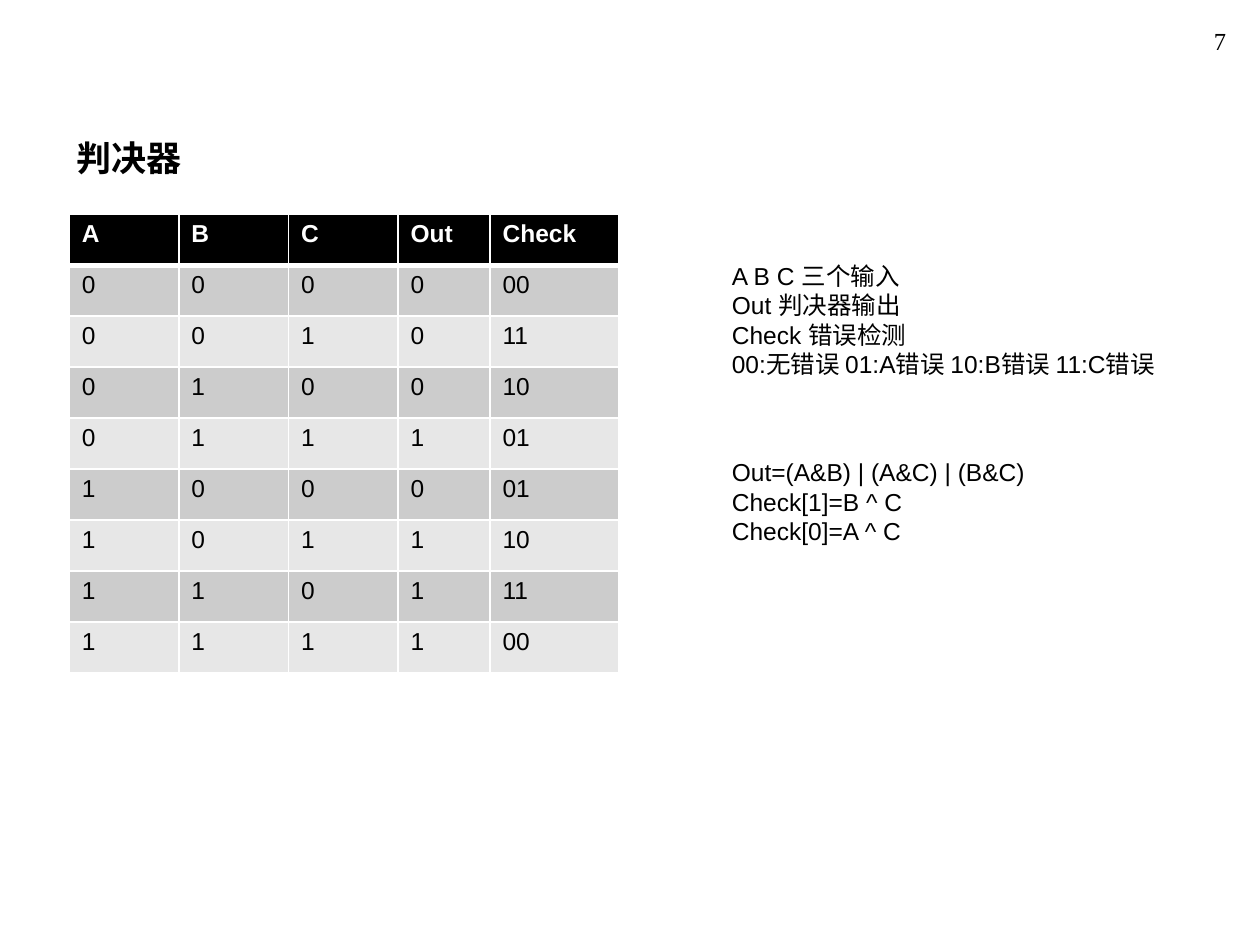
from dataclasses import dataclass
from itertools import product

from lxml import etree
from pptx import Presentation
from pptx.dml.color import RGBColor
from pptx.enum.text import MSO_ANCHOR, MSO_AUTO_SIZE, PP_ALIGN
from pptx.oxml.ns import qn
from pptx.util import Inches, Pt

BOTTOM, TOP = MSO_ANCHOR.BOTTOM, MSO_ANCHOR.TOP
LEFT, RIGHT = PP_ALIGN.LEFT, PP_ALIGN.RIGHT
NO_AUTOFIT = MSO_AUTO_SIZE.NONE
TITLE_ONLY = 5
BLACK, WHITE = "000000", "FFFFFF"
BAND_FILLS = ("CCCCCC", "E7E7E7")
HEADINGS = ("A", "B", "C", "Out", "Check")
COLUMN_WIDTHS = (0.87, 0.87, 0.87, 0.73, 1.02)
ROW_HEIGHT = 0.405


@dataclass(frozen=True)
class TextBlock:
    left: float
    top: float
    width: float
    height: float
    lines: tuple[str, ...]
    font: str = "Arial"
    size: int = 14
    bold: bool = False
    align: PP_ALIGN = LEFT
    anchor: MSO_ANCHOR = TOP


TITLE = TextBlock(0.51, 0.84, 8.9, 0.63, ("判决器",), size=20, bold=True, anchor=BOTTOM)
BOXES = (
    TextBlock(8.91, 0.16, 0.92, 0.44, ("7",), font="Times New Roman", align=RIGHT),
    TextBlock(
        5.71, 2.02, 3.61, 1.04,
        (
            "A B C 三个输入",
            "Out 判决器输出",
            "Check 错误检测",
            "00:无错误 01:A错误 10:B错误 11:C错误",
        ),
    ),
    TextBlock(
        5.71, 3.58, 3.61, 0.81,
        ("Out=(A&B) | (A&C) | (B&C)", "Check[1]=B ^ C", "Check[0]=A ^ C"),
    ),
)


def color(value: str) -> RGBColor:
    return RGBColor.from_string(value)


def format_font(font, values: dict, text_color: str) -> None:
    for name, value in values.items():
        setattr(font, name, value)
    font.color.rgb = color(text_color)


def fill_text(shape, block: TextBlock) -> None:
    for name in ("left", "top", "width", "height"):
        setattr(shape, name, Inches(getattr(block, name)))
    frame = shape.text_frame
    frame_format = {
        "word_wrap": True,
        "auto_size": NO_AUTOFIT,
        "vertical_anchor": block.anchor,
    }
    for name, value in frame_format.items():
        setattr(frame, name, value)
    font_format = {"name": block.font, "size": Pt(block.size), "bold": block.bold}
    frame.text = "\n".join(block.lines)
    for para in frame.paragraphs:
        para.alignment = block.align
        for span in para.runs:
            format_font(span.font, font_format, BLACK)


def add_text_box(slide, block: TextBlock) -> None:
    fill_text(slide.shapes.add_textbox(0, 0, 0, 0), block)


def add_border(cell, side: str, points: int) -> None:
    properties = cell._tc.get_or_add_tcPr()
    line = etree.SubElement(properties, qn(f"a:ln{side}"), w=str(Pt(points)))
    fill = etree.SubElement(line, qn("a:solidFill"))
    etree.SubElement(fill, qn("a:srgbClr"), val=WHITE)


def truth_rows() -> list[tuple[str, ...]]:
    rows = []
    for a, b, c in product((0, 1), repeat=3):
        out = (a & b) | (a & c) | (b & c)
        rows.append((str(a), str(b), str(c), str(out), f"{b ^ c}{a ^ c}"))
    return rows


def format_cell(cell, text: str, row_index: int) -> None:
    header = row_index == 0
    bottom = 3 if header else 1
    top = 3 if row_index == 1 else 1
    for side, points in {"L": 1, "R": 1, "T": top, "B": bottom}.items():
        add_border(cell, side, points)
    cell.fill.solid()
    cell.fill.fore_color.rgb = color(BLACK if header else BAND_FILLS[(row_index - 1) % 2])
    cell.text = text
    font_format = {"name": "Arial", "size": Pt(14), "bold": header}
    span = cell.text_frame.paragraphs[0].runs[0]
    format_font(span.font, font_format, WHITE if header else BLACK)


def add_truth_table(slide) -> None:
    rows = [HEADINGS, *truth_rows()]
    table = slide.shapes.add_table(
        len(rows), len(HEADINGS), Inches(0.55), Inches(1.7),
        Inches(sum(COLUMN_WIDTHS)), Inches(ROW_HEIGHT * len(rows)),
    ).table
    for column, width in zip(table.columns, COLUMN_WIDTHS):
        column.width = Inches(width)
    for row_index, values in enumerate(rows):
        table.rows[row_index].height = Inches(ROW_HEIGHT)
        for column_index, text in enumerate(values):
            format_cell(table.cell(row_index, column_index), text, row_index)


def build_deck() -> None:
    deck = Presentation()
    deck.slide_width, deck.slide_height = Inches(10), Inches(7.5)
    slide = deck.slides.add_slide(deck.slide_layouts[TITLE_ONLY])
    fill_text(slide.shapes.title, TITLE)
    add_truth_table(slide)
    for block in BOXES:
        add_text_box(slide, block)
    deck.save("out.pptx")


build_deck()
